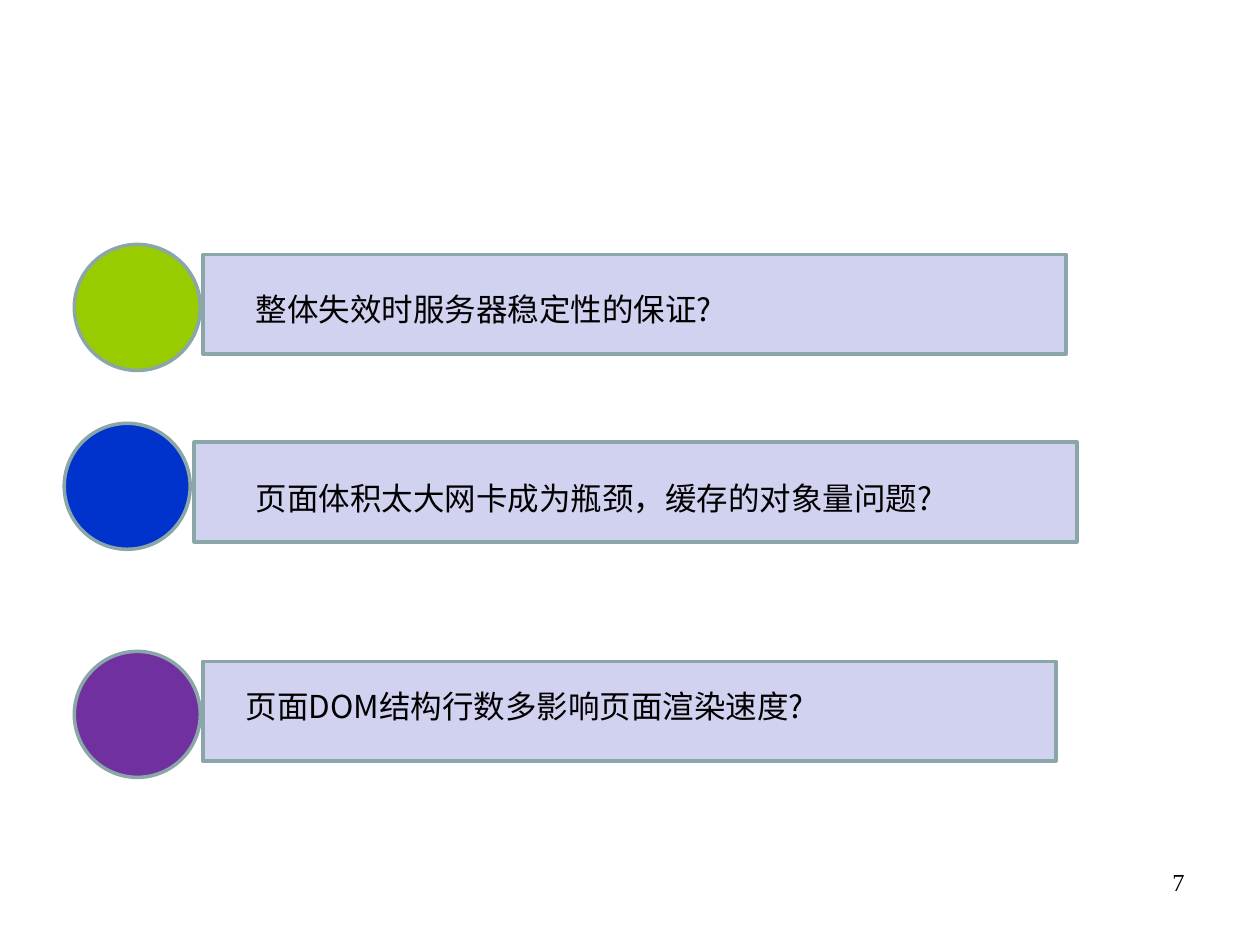
"""Build a slide of three performance questions, each marked by a coloured disc."""
from lxml import etree
from pptx import Presentation, util as u
from pptx.dml.color import RGBColor
from pptx.enum import shapes, text
from pptx.oxml import ns

ROWS = [
    dict(label="整体失效时服务器稳定性的保证?", color="99CC00",
         disc=(0.59, 1.94), bar=(1.61, 2.02, 6.85), text=(1.93, 2.25, 4.96)),
    dict(label="页面体积太大网卡成为瓶颈，缓存的对象量问题?", color="0033CC",
         disc=(0.51, 3.36), bar=(1.54, 3.51, 7.01), text=(1.93, 3.75, 5.91)),
    dict(label="页面DOM结构行数多影响页面渲染速度?", color="7030A0",
         disc=(0.59, 5.17), bar=(1.61, 5.25, 6.77), text=(1.85, 5.4, 6.22)),
]
PAGE = dict(label="7", box=(7.17, 6.83, 2.33, 0.52))
THEME = dict(bar="D1D1F0", line="8AA6A8", ink="000000", line_width=2,
             body="Noto Sans CJK SC", body_size=18,
             number="Times New Roman", number_size=14)
DISC, BAR_HEIGHT, TEXT_HEIGHT = 1, 0.79, 0.4


def add_shape(s, kind, box, fill):
    sp = s.shapes.add_shape(kind, *map(u.Inches, box))
    sp.shadow.inherit = False
    sp.fill.solid()
    sp.fill.fore_color.rgb = RGBColor.from_string(fill)
    sp.line.color.rgb = RGBColor.from_string(THEME["line"])
    sp.line.width = u.Pt(THEME["line_width"])


def add_text(s, label, box, font=THEME["body"], size=THEME["body_size"],
             align=text.PP_ALIGN.LEFT, grow=True):
    tf = s.shapes.add_textbox(*map(u.Inches, box)).text_frame
    tf.word_wrap = True
    if grow:
        tf.auto_size = text.MSO_AUTO_SIZE.SHAPE_TO_FIT_TEXT
    p = tf.paragraphs[0]
    p.alignment = align
    r = p.add_run()
    r.text = label
    r.font.size = u.Pt(size)
    r.font.color.rgb = RGBColor.from_string(THEME["ink"])
    r.font.name = font
    etree.SubElement(r.font._element, ns.qn("a:ea"), typeface=font)


def main():
    prs = Presentation()
    prs.slide_width, prs.slide_height = u.Inches(10), u.Inches(7.5)
    s = prs.slides.add_slide(prs.slide_layouts[6])
    add_text(s, PAGE["label"], PAGE["box"], font=THEME["number"],
             size=THEME["number_size"], align=text.PP_ALIGN.RIGHT, grow=False)
    for row in ROWS:
        add_shape(s, shapes.MSO_SHAPE.OVAL, (*row["disc"], DISC, DISC), row["color"])
        add_shape(s, shapes.MSO_SHAPE.RECTANGLE, (*row["bar"], BAR_HEIGHT), THEME["bar"])
        add_text(s, row["label"], (*row["text"], TEXT_HEIGHT))
    prs.save("out.pptx")


if __name__ == "__main__":
    main()
